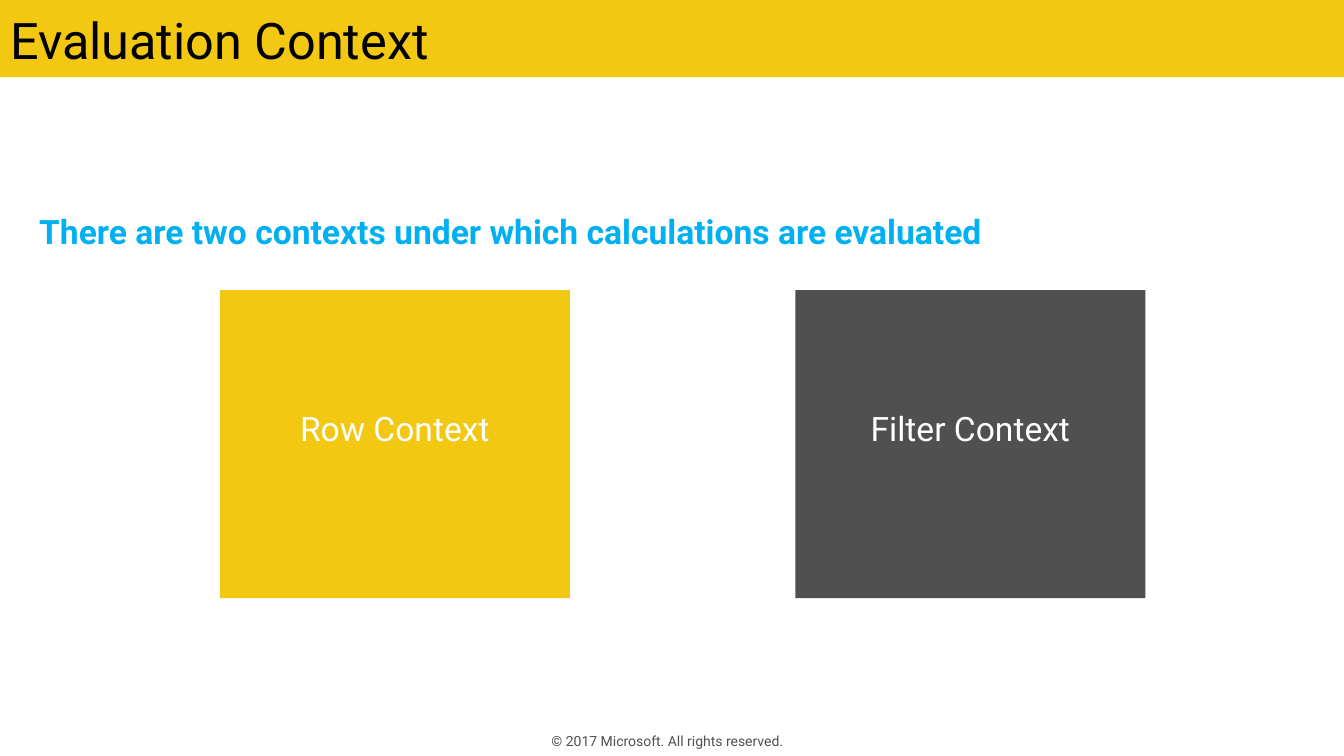
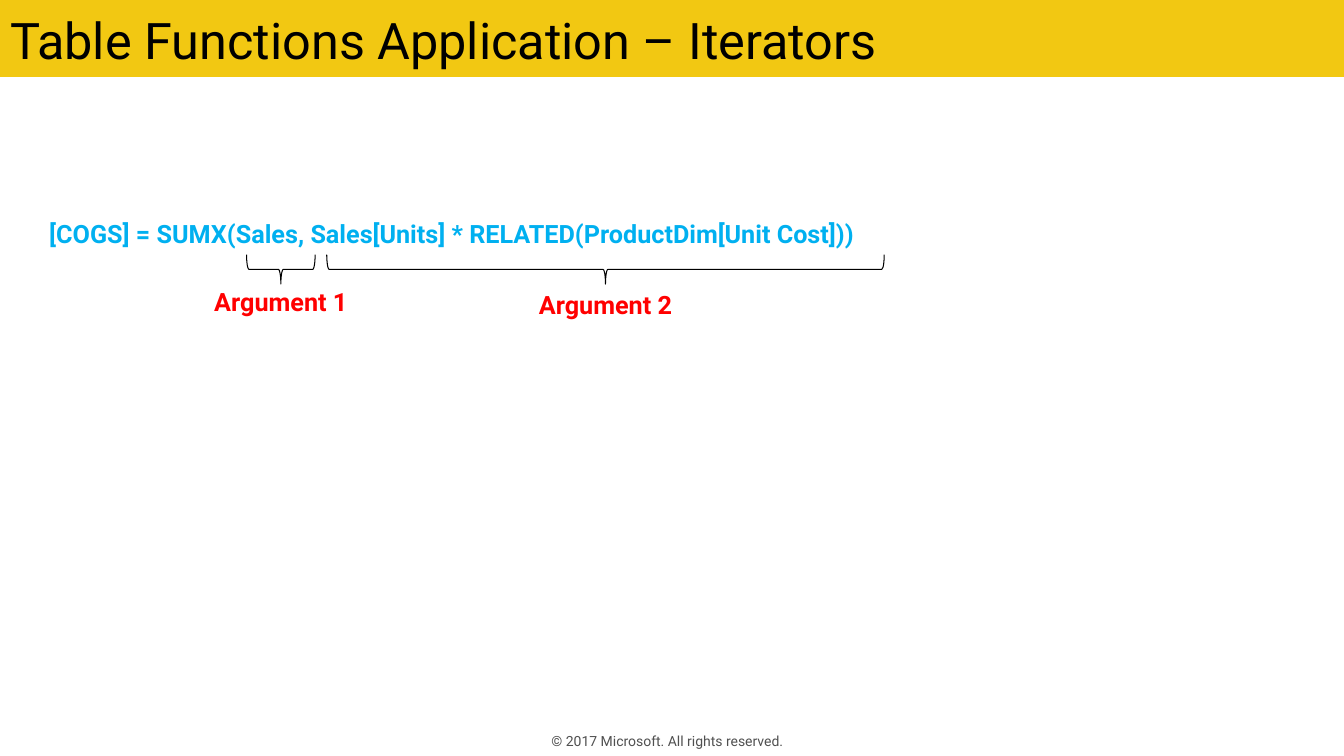
from pptx import Presentation
from pptx.dml.color import RGBColor
from pptx.enum.shapes import MSO_SHAPE
from pptx.enum.text import MSO_ANCHOR, MSO_AUTO_SIZE, PP_ALIGN
from pptx.util import Pt

YELLOW = RGBColor(0xF2, 0xC8, 0x12)
GRAY = RGBColor(0x50, 0x50, 0x50)
CYAN = RGBColor(0x00, 0xB0, 0xF0)
RED = RGBColor(0xFF, 0x00, 0x00)
BLACK = RGBColor(0x00, 0x00, 0x00)
WHITE = RGBColor(0xFF, 0xFF, 0xFF)

FONT = "Roboto"
WIDTH, HEIGHT = 960, 540
PAD = (7.2, 3.6, 7.2, 3.6)
WIDE_PAD = (14.4, 11.5, 14.4, 11.5)
TITLE = {"size": Pt(36), "bold": False}
LEAD = {"size": Pt(24), "bold": True}
LABEL = {"size": Pt(18), "bold": True}
CARD = {"size": Pt(24), "bold": False}
FOOTER = {"size": Pt(10), "bold": False}


class Deck:
    """Holds the presentation, its style and the current slide."""

    def __init__(self):
        self.prs = Presentation()
        self.prs.slide_width, self.prs.slide_height = Pt(WIDTH), Pt(HEIGHT)

    def slide(self, title):
        self.s = self.prs.slides.add_slide(self.prs.slide_layouts[5])
        band = self.shape(MSO_SHAPE.RECTANGLE, 0, 0, WIDTH, 55, fill=YELLOW)
        sp = self.s.shapes.title
        sp.element.addprevious(band.element)
        sp.left, sp.top, sp.width, sp.height = Pt(0), Pt(2.9), Pt(902), Pt(51.8)
        self.fill_text(sp, title, TITLE, BLACK)
        self.text("© 2017 Microsoft. All rights reserved.", 318.2, 520.5, 324, 18,
                  FOOTER, GRAY, pad=(0, 0, 7.2, 0), align=PP_ALIGN.CENTER,
                  anchor=MSO_ANCHOR.MIDDLE)

    def fill_text(self, sp, text, style, color, pad=PAD, align=PP_ALIGN.LEFT,
                  anchor=MSO_ANCHOR.TOP, spacing=1.0, wrap=True):
        tf = sp.text_frame
        left, top, right, bottom = map(Pt, pad)
        frame = {"word_wrap": wrap, "auto_size": MSO_AUTO_SIZE.NONE,
                 "vertical_anchor": anchor, "margin_left": left,
                 "margin_top": top, "margin_right": right, "margin_bottom": bottom}
        p = tf.paragraphs[0]
        r = p.add_run()
        r.text = text
        for target, values in ((tf, frame),
                               (p, {"alignment": align, "line_spacing": spacing}),
                               (r.font, {"name": FONT, **style})):
            for name, value in values.items():
                setattr(target, name, value)
        r.font.color.rgb = color

    def text(self, text, x, y, w, h, style, color, **layout):
        sp = self.s.shapes.add_textbox(Pt(x), Pt(y), Pt(w), Pt(h))
        self.fill_text(sp, text, style, color, **layout)

    def shape(self, kind, x, y, w, h, fill=None, line=None):
        sp = self.s.shapes.add_shape(kind, Pt(x), Pt(y), Pt(w), Pt(h))
        sp.shadow.inherit = False
        if fill is None:
            sp.fill.background()
        else:
            sp.fill.solid()
            sp.fill.fore_color.rgb = fill
        if line is None:
            sp.line.fill.background()
        else:
            sp.line.color.rgb = line
            sp.line.width = Pt(0.75)
        return sp

    def card(self, text, x, fill):
        sp = self.shape(MSO_SHAPE.RECTANGLE, x, 207.2, 250, 220, fill=fill)
        self.fill_text(sp, text, CARD, WHITE, pad=(14.4, 87.5, 14.4, 11.5),
                       align=PP_ALIGN.CENTER, spacing=0.9)

    def argument(self, text, center, span, label_top):
        depth, middle, width = 21, 192.4, 214.6
        brace = self.shape(MSO_SHAPE.RIGHT_BRACE, center - depth / 2,
                           middle - span / 2, depth, span, line=BLACK)
        brace.rotation = 90
        self.text(text, center - width / 2, label_top, width, 43.2, LABEL, RED,
                  pad=WIDE_PAD, align=PP_ALIGN.CENTER, spacing=0.9)


def main():
    deck = Deck()

    deck.slide("Evaluation Context")
    deck.text("There are two contexts under which calculations are evaluated",
              20.9, 150.5, 723.6, 33.1, LEAD, CYAN, spacing=0.9, wrap=False)
    deck.card("Row Context", 157, YELLOW)
    deck.card("Filter Context", 568.1, GRAY)

    deck.slide("Table Functions Application – Iterators")
    deck.text("[COGS] = SUMX(Sales, Sales[Units] * RELATED(ProductDim[Unit Cost]))",
              28.1, 152.6, 837.4, 28.8, LABEL, CYAN)
    deck.argument("Argument 1", 200.6, 49, 195.8)
    deck.argument("Argument 2", 432.5, 398.2, 197.3)

    deck.prs.save("out.pptx")


if __name__ == "__main__":
    main()
